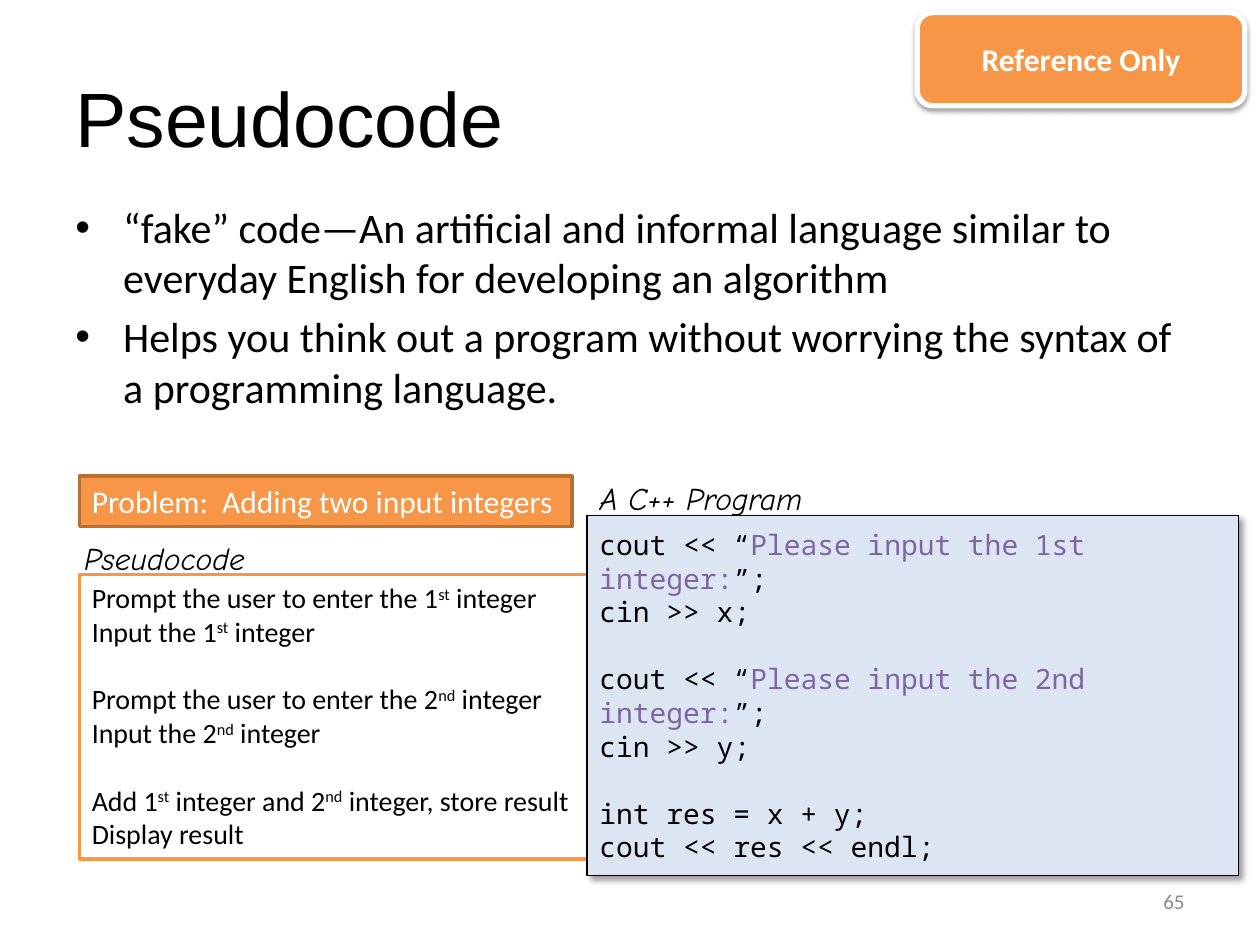
from lxml import etree
from pptx import Presentation
from pptx import util as u
from pptx.dml.color import RGBColor
from pptx.enum import shapes, text
from pptx.oxml import ns

deck = Presentation()
deck.slide_width, deck.slide_height = u.Inches(10), u.Inches(7.5)
page = deck.slides.add_slide(deck.slide_layouts[6])

# Grid of 100 columns by 75 rows
COLUMN = deck.slide_width / 100
ROW = deck.slide_height / 75
BLACK, WHITE, ORANGE, PURPLE = "000000", "FFFFFF", "F79646", "8064A2"
LEFT, MIDDLE = 6.3, 46.6  # left edges of the two lower panels


def add_box(place, kind=None, fill=None, line=None, weight=0, shadow=None,
            anchor=text.MSO_ANCHOR.TOP, wrap=True):
    """Add a text box, or a filled shape when a kind is given."""
    left, top, width, height = place
    area = [round(n) for n in (left * COLUMN, top * ROW, width * COLUMN, height * ROW)]
    if kind is None:
        box = page.shapes.add_textbox(*area)
    else:
        box = page.shapes.add_shape(kind, *area)
        box.shadow.inherit = False
        box.fill.solid()
        box.fill.fore_color.rgb = RGBColor.from_string(fill)
        box.line.color.rgb = RGBColor.from_string(line)
        box.line.width = u.Pt(weight)
    if shadow:
        opacity, blur, distance, angle = shadow
        effects = box._element.spPr.find(ns.qn("a:effectLst"))
        outer = etree.SubElement(effects, ns.qn("a:outerShdw"), blurRad=str(u.Pt(blur)),
                                 dist=str(u.Pt(distance)), dir=str(angle * 60000),
                                 algn="ctr", rotWithShape="0")
        tint = etree.SubElement(outer, ns.qn("a:srgbClr"), val=BLACK)
        etree.SubElement(tint, ns.qn("a:alpha"), val=str(opacity * 1000))
    box.text_frame.word_wrap = wrap
    box.text_frame.vertical_anchor = anchor
    return box


def write(box, groups, name, size, color=BLACK, align=text.PP_ALIGN.LEFT, gap=0,
          accent=None, **style):
    """Write groups of lines, a gap apart; spans between ^ marks are accented
    with a colour, or raised when no accent colour is given."""
    frame = box.text_frame
    for group_index, group in enumerate(groups):
        for line_index, line in enumerate(group):
            first = group_index == line_index == 0
            para = frame.paragraphs[0] if first else frame.add_paragraph()
            para.alignment = align
            para.font.name, para.font.size = name, u.Pt(size)
            para.font.color.rgb = RGBColor.from_string(color)
            for key, value in style.items():
                setattr(para.font, key, value)
            if group_index and not line_index:
                para.space_before = u.Pt(gap)
            for span_index, words in enumerate(line.split("^")):
                span = para.add_run()
                span.text = words
                if span_index % 2 and accent:
                    span.font.color.rgb = RGBColor.from_string(accent)
                elif span_index % 2:
                    span._r.get_or_add_rPr().set("baseline", "30000")


RECTANGLE = shapes.MSO_SHAPE.RECTANGLE
CENTRE = text.MSO_ANCHOR.MIDDLE

# Title
title = add_box((5, 3, 90, 12.5), anchor=CENTRE)
write(title, [["Pseudocode"]], "Arial", 44)

# Bulleted definition
body = add_box((5, 15.5, 90, 20))
write(body, [
    ["“fake” code—An artificial and informal language similar to everyday English "
     "for developing an algorithm"],
    ["Helps you think out a program without worrying the syntax of a programming language."],
], "Calibri", 24, gap=4.8)
for para in body.text_frame.paragraphs:
    settings = para._p.get_or_add_pPr()
    settings.set("marL", str(u.Inches(0.38)))
    settings.set("indent", str(-u.Inches(0.38)))
    bullet_font = etree.Element(ns.qn("a:buFont"), typeface="Arial")
    bullet = etree.Element(ns.qn("a:buChar"), char="•")
    for part in (bullet_font, bullet):
        settings.insert_element_before(part, "a:tabLst", "a:defRPr", "a:extLst")

# Pseudocode panel
steps = add_box((LEFT, 45.6, 42.1, 22.6), RECTANGLE, WHITE, ORANGE, 2)
groups = [[f"Prompt the user to enter the {nth} integer", f"Input the {nth} integer"]
          for nth in ("1^st^", "2^nd^")]
groups.append(["Add 1^st^ integer and 2^nd^ integer, store result", "Display result"])
write(steps, groups, "Calibri", 16, gap=19.5)

# Problem statement
problem = add_box((LEFT, 37.8, 39.1, 4), RECTANGLE, ORANGE, "B76F34", 2, wrap=False)
write(problem, [["Problem:  Adding two input integers"]], "Calibri", 18, WHITE)

# Program panel
program = add_box((MIDDLE, 40.9, 51.7, 28.6), RECTANGLE, "DCE6F2", BLACK, 0.75,
                  shadow=(40, 4, 3, 45), anchor=CENTRE)
groups = [[f"cout << “^Please input the {nth} integer:^”;", f"cin >> {variable};"]
          for nth, variable in (("1st", "x"), ("2nd", "y"))]
groups.append(["int res = x + y;", "cout << res << endl;"])
write(program, groups, "Noto Sans Mono", 16, gap=19.2, accent=PURPLE)
for para in program.text_frame.paragraphs:
    para.line_spacing = u.Pt(19.2)

# Panel captions
for place, caption in (((5.7, 42.3, 19.6, 4), "Pseudocode"),
                       ((MIDDLE, 37.5, 23.8, 4), "A C++ Program")):
    write(add_box(place, wrap=False), [[caption]], "Comic Neue", 18, italic=True)

# Page number
number = add_box((71.7, 69.5, 23.3, 4), anchor=CENTRE)
write(number, [["65"]], "Calibri", 12, "8C8C8C", text.PP_ALIGN.RIGHT)

# Reference badge
badge = add_box((72.8, 1, 26, 7.4), shapes.MSO_SHAPE.ROUNDED_RECTANGLE, ORANGE, WHITE, 3,
                shadow=(38, 3.1, 1.6, 90), anchor=CENTRE)
write(badge, [["Reference Only"]], "Calibri", 18, WHITE, text.PP_ALIGN.CENTER, bold=True)

deck.save("out.pptx")
